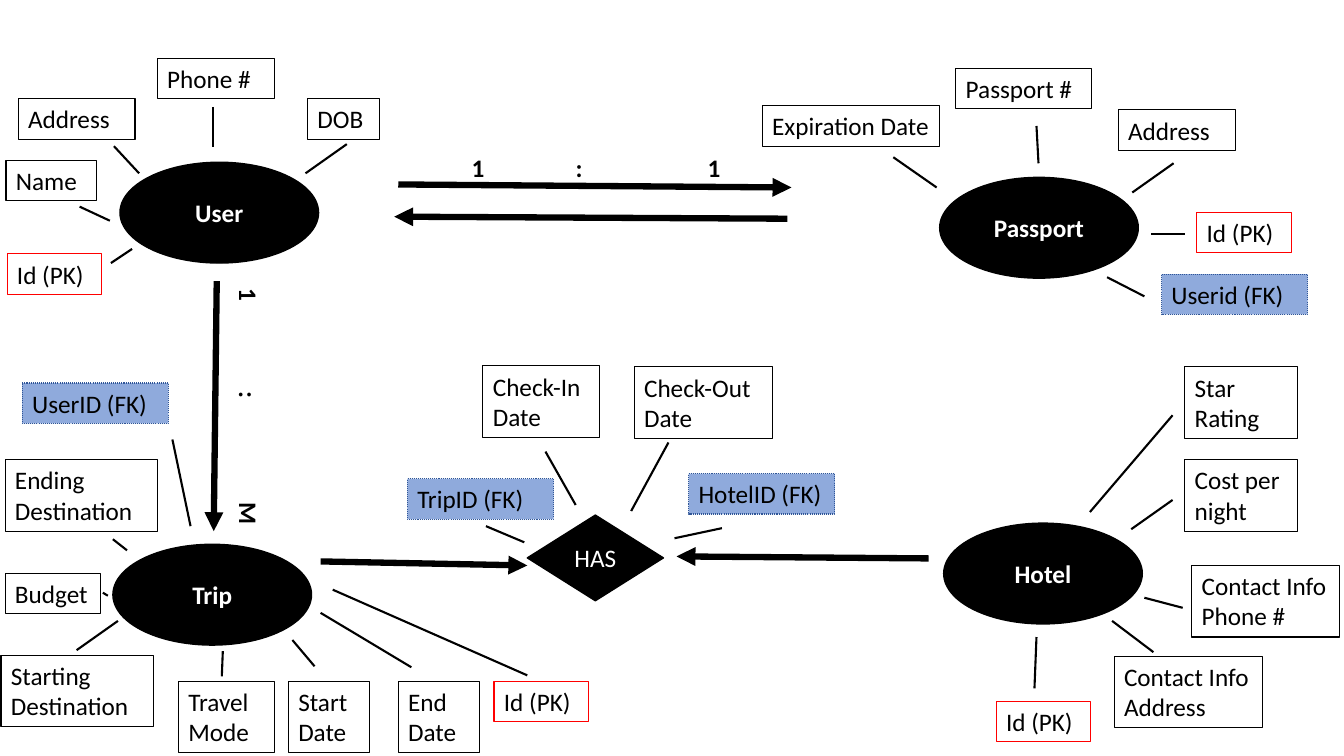
from dataclasses import dataclass

from lxml import etree
from pptx import Presentation
from pptx import util as u
from pptx.dml.color import RGBColor
from pptx.enum import dml, shapes, text
from pptx.oxml import ns


@dataclass(frozen=True)
class Theme:
    """Colours, type and line weights of the diagram."""
    font: str = "Calibri"
    size: int = 18
    ink: str = "000000"
    paper: str = "FFFFFF"
    primary: str = "FF0000"
    foreign_fill: str = "8FAADC"
    foreign_line: str = "2F5597"
    border: float = 0.75
    outline: float = 1
    link: float = 1.5
    relation: float = 4.5


def inch(value):
    """Turn inches into a Cm length."""
    return u.Cm(value * 2.54)


class Diagram:
    """Draws entity-relationship elements on the current slide."""

    def __init__(self, slide, theme):
        """Keep the slide and its style."""
        self.slide, self.theme = slide, theme

    def label(self, box, content, color, bold=False):
        """Fill a text frame and style its paragraphs."""
        frame = box.text_frame
        frame.word_wrap = True
        frame.text = content
        for para in frame.paragraphs:
            para.alignment = text.PP_ALIGN.LEFT
            para.font.name = self.theme.font
            para.font.size = u.Pt(self.theme.size)
            para.font.bold = bold
            para.font.color.rgb = RGBColor.from_string(color)
        return frame

    def shape(self, kind, place, fill, line, width):
        """Add a preset shape with its fill and outline."""
        box = self.slide.shapes.add_shape(kind, *map(inch, place))
        box.shadow.inherit = False
        if fill:
            box.fill.solid()
            box.fill.fore_color.rgb = RGBColor.from_string(fill)
        else:
            box.fill.background()
        box.line.color.rgb = RGBColor.from_string(line)
        box.line.width = u.Pt(width)
        return box

    def node(self, kind, name, place, bold=True):
        """Add a black entity or relationship with a centred name."""
        ink = self.theme.ink
        box = self.shape(kind, place, ink, ink, self.theme.outline)
        frame = self.label(box, name, self.theme.paper, bold)
        frame.vertical_anchor = text.MSO_ANCHOR.MIDDLE
        frame.paragraphs[0].alignment = text.PP_ALIGN.CENTER

    def attribute(self, name, left, top, width, lines=1):
        """Add an attribute box; the key type in its name sets its colours."""
        theme = self.theme
        foreign = "(FK)" in name
        line = theme.primary if "(PK)" in name else theme.ink
        fill = None
        if foreign:
            fill, line = theme.foreign_fill, theme.foreign_line
        place = (left, top, width, 0.4 if lines == 1 else 0.71)
        box = self.shape(shapes.MSO_SHAPE.RECTANGLE, place, fill, line, theme.border)
        if foreign:
            box.line.dash_style = dml.MSO_LINE.ROUND_DOT
        frame = self.label(box, name, theme.ink)
        frame.vertical_anchor = text.MSO_ANCHOR.TOP
        frame.auto_size = text.MSO_AUTO_SIZE.SHAPE_TO_FIT_TEXT

    def line(self, points, arrow=False):
        """Add a thin link, or a thick relation with an arrowhead."""
        link = self.slide.shapes.add_connector(
            shapes.MSO_CONNECTOR.STRAIGHT, *map(inch, points))
        link.line.color.rgb = RGBColor.from_string(self.theme.ink)
        link.line.width = u.Pt(self.theme.relation if arrow else self.theme.link)
        properties = link._element.spPr
        if arrow:
            outline = properties.find(ns.qn("a:ln"))
            etree.SubElement(outline, ns.qn("a:tailEnd"), type="triangle")
        etree.SubElement(properties, ns.qn("a:effectLst"))

    def cardinality(self, ends, left, top, stops, rotation=0):
        """Add a bold ratio spread over tab stops."""
        box = self.slide.shapes.add_textbox(*map(inch, (left, top, 2.88, 0.4)))
        box.rotation = rotation
        frame = self.label(box, "\t:\t".join(ends), self.theme.ink, bold=True)
        frame.auto_size = text.MSO_AUTO_SIZE.SHAPE_TO_FIT_TEXT
        properties = frame.paragraphs[0]._p.get_or_add_pPr()
        tabs = etree.Element(ns.qn("a:tabLst"))
        for stop in stops:
            etree.SubElement(tabs, ns.qn("a:tab"), pos=str(inch(stop)), algn="l")
        properties.find(ns.qn("a:defRPr")).addprevious(tabs)


ENTITIES = {"User": (1.19, 1.61), "Passport": (9.32, 1.76),
            "Trip": (1.12, 5.4), "Hotel": (9.36, 5.19)}

# Name, left, top, width and, when not one, the number of lines.
ATTRIBUTES = {
    "User": [("Address", 0.18, 0.98, 1.16), ("Phone #", 1.56, 0.58, 1.16),
             ("DOB", 3.05, 0.98, 0.71), ("Name", 0.06, 1.59, 0.9),
             ("Id (PK)", 0.07, 2.52, 0.94)],
    "Passport": [("Expiration Date", 7.56, 1.05, 1.76),
                 ("Passport #", 9.48, 0.68, 1.35),
                 ("Address", 11.09, 1.09, 1.16), ("Id (PK)", 11.87, 2.11, 0.94),
                 ("Userid (FK)", 11.52, 2.72, 1.45)],
    "Trip": [("UserID\u00a0(FK)", 0.22, 3.8, 1.45),
             ("Ending Destination", 0.05, 4.56, 1.51, 2),
             ("Budget", 0.05, 5.69, 0.95),
             ("Starting Destination", 0.01, 6.5, 1.51, 2),
             ("Travel Mode", 1.77, 6.76, 0.95, 2),
             ("Start Date", 2.86, 6.76, 0.81, 2),
             ("End Date", 3.95, 6.76, 0.81, 2), ("Id (PK)", 4.9, 6.76, 0.94)],
    "Hotel": [("Star Rating", 11.75, 3.64, 1.12, 2),
              ("Cost per night", 11.75, 4.56, 1.12, 2),
              ("Contact Info\nPhone #", 11.82, 5.61, 1.47, 2),
              ("Contact Info\nAddress", 11.05, 6.51, 1.47, 2),
              ("Id (PK)", 9.88, 6.96, 0.94)],
    "HAS": [("Check-In Date", 4.79, 3.63, 1.16, 2),
            ("Check-Out\u00a0\vDate", 6.29, 3.64, 1.37, 2),
            ("TripID\u00a0(FK)", 4.04, 4.75, 1.45),
            ("HotelID\u00a0(FK)", 6.83, 4.7, 1.45)],
}

LINKS = {
    "User": [(1.13, 1.45, 1.38, 1.72), (2.11, 1.06, 2.11, 1.46),
             (3.44, 1.43, 3.03, 1.72), (0.79, 2.05, 1.09, 2.19),
             (1.31, 2.47, 1.1, 2.61)],
    "Passport": [(8.86, 1.56, 9.29, 1.86), (10.28, 1.25, 10.3, 1.62),
                 (11.64, 1.62, 11.23, 1.91), (11.75, 2.32, 11.42, 2.32),
                 (11.35, 2.94, 10.98, 2.75)],
    "Trip": [(1.71, 4.36, 1.89, 5.22), (1.26, 5.46, 1.12, 5.35),
             (1.07, 5.91, 1.02, 5.88), (1.17, 6.16, 0.76, 6.45),
             (2.21, 6.46, 2.2, 6.71), (3.12, 6.61, 2.9, 6.35),
             (4.08, 6.62, 3.18, 6.08), (5.23, 6.7, 3.3, 5.85)],
    "Hotel": [(10.81, 5.08, 11.63, 4.12), (11.22, 5.25, 11.63, 4.96),
              (11.35, 5.93, 11.73, 6.03), (11.03, 6.16, 11.44, 6.47),
              (10.28, 6.32, 10.26, 6.83)],
    "HAS": [(5.41, 4.48, 5.71, 5.01), (6.63, 4.39, 6.26, 5.07),
            (4.82, 5.22, 5.2, 5.38), (7.16, 5.24, 6.69, 5.34)],
}

RELATIONS = [(3.95, 1.83, 7.85, 1.86), (7.81, 2.17, 3.91, 2.15),
             (2.15, 2.79, 2.12, 5.27), (3.18, 5.57, 5.23, 5.61),
             (9.21, 5.54, 6.71, 5.52)]


def main():
    """Build the diagram and save the deck."""
    deck = Presentation()
    deck.slide_width, deck.slide_height = inch(13.33), inch(7.5)
    diagram = Diagram(deck.slides.add_slide(deck.slide_layouts[6]), Theme())
    for name, corner in ENTITIES.items():
        diagram.node(shapes.MSO_SHAPE.OVAL, name, (*corner, 1.97, 1))
    diagram.node(shapes.MSO_SHAPE.DIAMOND, "HAS", (5.23, 5.11, 1.35, 0.85), bold=False)
    for owner, attributes in ATTRIBUTES.items():
        for attribute in attributes:
            diagram.attribute(*attribute)
        for link in LINKS[owner]:
            diagram.line(link)
    for relation in RELATIONS:
        diagram.line(relation, arrow=True)
    diagram.cardinality("11", 4.58, 1.46, (1.03, 2.34))
    diagram.cardinality("1M", 1.03, 4, (1.03, 2.13), rotation=90)
    deck.save("out.pptx")


main()
